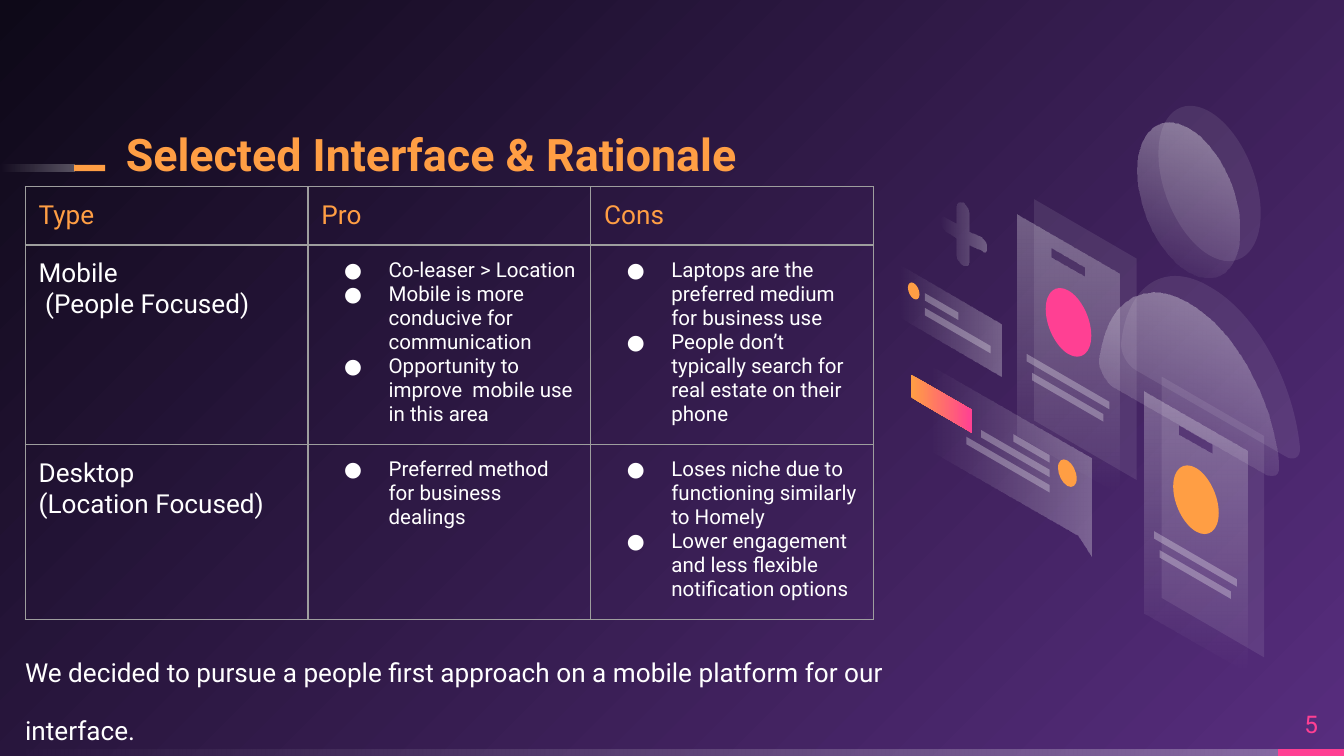
import math
from dataclasses import dataclass

from lxml import etree
from pptx import Presentation
from pptx.dml.color import RGBColor
from pptx.enum.shapes import MSO_SHAPE
from pptx.enum.text import MSO_ANCHOR, MSO_AUTO_SIZE, PP_ALIGN
from pptx.oxml.ns import qn
from pptx.util import Pt

RECTANGLE = MSO_SHAPE.RECTANGLE
TOP, MIDDLE, BOTTOM = MSO_ANCHOR.TOP, MSO_ANCHOR.MIDDLE, MSO_ANCHOR.BOTTOM
NO_AUTOFIT = MSO_AUTO_SIZE.NONE
LEFT, CENTER = PP_ALIGN.LEFT, PP_ALIGN.CENTER
FONT = "Roboto"
SLOPE = 0.58
ROUND = 0.55
BAR_HEIGHT = 4
COLORS = {"white": "FFFFFF", "orange": "FF9E44", "pink": "FF4093",
          "purple": "572D7E", "night": "0E0918", "border": "9E9E9E"}


@dataclass(frozen=True)
class Paint:
    colors: tuple
    opacities: tuple = (100, 100)
    angle: float = 0


@dataclass(frozen=True)
class Slab:
    x: float
    y: float
    width: float
    height: float
    paint: Paint
    slot: tuple = ()


@dataclass(frozen=True)
class Outline:
    start: tuple
    steps: tuple
    paint: Paint


def fade(strength: int, angle: float) -> Paint:
    return Paint(("white", "white"), (strength, 0), angle)


ORANGE, PINK = Paint(("orange",)), Paint(("pink",))
GHOST, BAR = Paint(("white",), (9,)), Paint(("white",), (29,))
SIDE_FADE, DOWN_FADE, BODY_FADE = fade(29, 180), fade(29, 90), fade(40, 110)

DOME = ((612.7, 148.3, 592.6, 161.3, 589, 192.2),
        (588.2, 197.3, 591.8, 204.5, 596.9, 207.4), (676.8, 253.4),
        (681.1, 256.3, 685.4, 254.2, 684.7, 248.4),
        (681.1, 213.1, 661, 176.4, 636.5, 162.7))
PLUS = ((517.7, 110.2, 519.1, 112.3, 519.1, 114.5), (519.1, 123.8), (525.6, 126.7),
        (527, 128.2, 528.5, 130.3, 528.5, 132.5),
        (528.5, 134.6, 527, 135.4, 525.6, 133.9), (519.1, 131), (519.1, 139.7),
        (519.1, 141.8, 517.7, 142.6, 516.2, 141.8),
        (514.1, 140.4, 512.6, 138.2, 512.6, 136.1), (512.6, 127.4), (506.9, 123.8),
        (505.4, 123.1, 504, 120.2, 504, 118.1),
        (504, 115.9, 505.4, 115.2, 506.9, 116.6), (512.6, 119.5), (512.6, 110.9),
        (512.6, 108.7, 514.1, 108, 516.2, 108.7))
BUBBLE = ((497.5, 195.1), (497.5, 240.5), (577.4, 286.6), (584.9, 298.1))


def bar(x: float, y: float, width: float) -> Slab:
    return Slab(x, y, width, BAR_HEIGHT, BAR)


def dome(paint: Paint, right: float = 0, down: float = 0) -> Outline:
    steps = tuple(tuple(value + (down if index % 2 else right)
                        for index, value in enumerate(step)) for step in DOME)
    return Outline(steps[-1][-2:], steps, paint)


def oval(x: float, y: float, radius_x: float, radius_y: float, paint: Paint) -> Outline:
    def spot(across: float, up: float) -> tuple:
        return x + radius_x * across, y + radius_y * up + SLOPE * radius_x * across

    steps = []
    across, up = 1, 0
    for _ in range(4):
        next_across, next_up = -up, across
        steps.append(spot(across + ROUND * next_across, up + ROUND * next_up)
                     + spot(next_across + ROUND * across, next_up + ROUND * up)
                     + spot(next_across, next_up))
        across, up = next_across, next_up
    return Outline(spot(1, 0), tuple(steps), paint)


def card(x: float, y: float, dot: Paint) -> list:
    return [Slab(x + 9, y - 8, 54.9, 118.6, GHOST),
            Slab(x, y, 54.9, 118.6, DOWN_FADE, (18, 18, 18, 5)),
            bar(x + 5, y + 74.9, 44.3), bar(x + 7.9, y + 85, 38.2),
            oval(x + 27.4, y + 58, 12.2, 17, dot)]


ILLUSTRATION = [
    dome(GHOST, 11.7, -9),
    oval(648, 98.3, 27.4, 38.5, GHOST),
    dome(BODY_FADE),
    oval(636.5, 107.1, 27.4, 38.5, BODY_FADE),
    Slab(481.7, 141.9, 54.9, 28.1, SIDE_FADE),
    oval(489.5, 155.9, 3.1, 4.2, ORANGE),
    bar(495.4, 157, 18), bar(495.4, 164.9, 35.3),
    *card(613.3, 209.7, ORANGE),
    *card(545, 114.7, PINK),
    Outline((584.9, 245.5), BUBBLE, SIDE_FADE),
    Slab(488, 200.7, 32.9, 12.2, Paint(("orange", "pink"))),
    bar(542.9, 232.6, 19.4), bar(525.6, 230.4, 36.7), bar(517.7, 234, 44.6),
    oval(571.8, 253.5, 5, 6.8, ORANGE),
    Outline((516.2, 108.7), PLUS, SIDE_FADE),
]
BARS = [((0, 401.3, 686.9, 3.7), SIDE_FADE), ((684.7, 401.3, 35.3, 3.7), PINK),
        ((0, 88.4, 40, 3.3), SIDE_FADE), ((39.8, 88.4, 16.6, 3.3), ORANGE)]
ROW_HEIGHTS = (31.1, 104.2, 91.2)
COLUMN_WIDTH = 151.5
ROWS = [
    (["Type"], ["Pro"], ["Cons"]),
    (["Mobile", " (People Focused)"],
     ["Co-leaser > Location", "Mobile is more conducive for communication",
      "Opportunity to improve  mobile use in this area"],
     ["Laptops are the preferred medium for business use",
      "People don’t typically search for real estate on their phone"]),
    (["Desktop", "(Location Focused)"],
     ["Preferred method for business dealings"],
     ["Loses niche due to functioning similarly to Homely",
      "Lower engagement and less flexible notification options"]),
]


def rgb(name: str) -> RGBColor:
    return RGBColor.from_string(COLORS[name])


def apply_paint(shape, paint: Paint) -> None:
    shape.shadow.inherit = False
    if len(paint.colors) == 1:
        shape.fill.solid()
        shape.fill.fore_color.rgb = rgb(paint.colors[0])
    else:
        shape.fill.gradient()
        shape.fill.gradient_angle = (360 - paint.angle) % 360
        for stop, name in zip(shape.fill.gradient_stops, paint.colors):
            stop.color.rgb = rgb(name)
    for node, opacity in zip(shape.element.spPr.iter(qn("a:srgbClr")), paint.opacities):
        if opacity < 100:
            etree.SubElement(node, qn("a:alpha"), val=str(opacity * 1000))
    shape.line.fill.background()


def slab_points(x: float, y: float, width: float, height: float) -> list:
    drop = SLOPE * width
    return [(x, y), (x + width, y + drop), (x + width, y + drop + height), (x, y + height)]


def sample(outline: Outline, pieces: int = 24) -> list:
    points = [outline.start]
    for step in outline.steps:
        if len(step) == 2:
            points.append(step)
            continue
        corners = [points[-1], step[:2], step[2:4], step[4:]]
        for piece in range(1, pieces + 1):
            t = piece / pieces
            weights = [math.comb(3, i) * t ** i * (1 - t) ** (3 - i) for i in range(4)]
            points.append(tuple(sum(weight * corner[axis] for weight, corner
                                    in zip(weights, corners)) for axis in (0, 1)))
    return points


def set_curves(shape, outline: Outline) -> None:
    route = next(shape.element.iter(qn("a:path")))
    for child in list(route):
        route.remove(child)
    for kind, step in [("moveTo", outline.start),
                       *(("lnTo" if len(step) == 2 else "cubicBezTo", step)
                         for step in outline.steps)]:
        command = etree.SubElement(route, qn(f"a:{kind}"))
        for x, y in zip(step[::2], step[1::2]):
            etree.SubElement(command, qn("a:pt"), x=str(Pt(x) - shape.left),
                             y=str(Pt(y) - shape.top))
    etree.SubElement(route, qn("a:close"))


def draw_piece(page, piece) -> None:
    if isinstance(piece, Slab):
        contours = [slab_points(piece.x, piece.y, piece.width, piece.height)]
        if piece.slot:
            left, top, width, height = piece.slot
            contours.append(slab_points(piece.x + left, piece.y + top, width, height)[::-1])
    else:
        contours = [sample(piece)]
    first, *holes = [[(Pt(x), Pt(y)) for x, y in contour] for contour in contours]
    builder = page.shapes.build_freeform(*first[0])
    builder.add_line_segments(first[1:])
    for hole in holes:
        builder.move_to(*hole[0])
        builder.add_line_segments(hole[1:])
    shape = builder.convert_to_shape()
    if isinstance(piece, Outline):
        set_curves(shape, piece)
    apply_paint(shape, piece.paint)


def place(box, left: float, top: float, width: float, height: float) -> None:
    box.left, box.top, box.width, box.height = map(Pt, (left, top, width, height))


def write(frame, lines: list, *, size: float, color: str, bold: bool = False, inset: float = 0,
          anchor=TOP, align=LEFT, spacing=1.0, bullet: bool = False) -> None:
    frame.word_wrap = True
    frame.vertical_anchor = anchor
    frame.margin_left = frame.margin_right = frame.margin_top = frame.margin_bottom = Pt(inset)
    for index, line in enumerate(lines):
        para = frame.add_paragraph() if index else frame.paragraphs[0]
        para.alignment, para.line_spacing, para.space_before = align, spacing, Pt(0)
        properties = para._p.get_or_add_pPr()
        properties.set("marL", str(Pt(36 if bullet else 0)))
        properties.set("indent", str(Pt(-23.8 if bullet else 0)))
        if bullet:
            tint = etree.SubElement(properties, qn("a:buClr"))
            etree.SubElement(tint, qn("a:srgbClr"), val=COLORS[color])
            etree.SubElement(properties, qn("a:buSzPts"), val=str(size * 100))
            etree.SubElement(properties, qn("a:buFont"), typeface=FONT)
            etree.SubElement(properties, qn("a:buChar"), char="●")
        else:
            etree.SubElement(properties, qn("a:buNone"))
        span = para.add_run()
        span.text = line
        span.font.name, span.font.size, span.font.bold = FONT, Pt(size), bold
        span.font.color.rgb = rgb(color)
        etree.SubElement(para._p, qn("a:endParaRPr"), sz=str(size * 100))


def fill_background(page) -> None:
    fill = page.background.fill
    fill.gradient()
    for stop, name in zip(fill.gradient_stops, ("purple", "night")):
        stop.color.rgb = rgb(name)
    gradient = next(page.element.iter(qn("a:gradFill")))
    gradient.remove(gradient.find(qn("a:lin")))
    circle = etree.SubElement(gradient, qn("a:path"), path="circle")
    etree.SubElement(circle, qn("a:fillToRect"), l="100000", t="100000")


def border_cell(cell) -> None:
    properties = cell._tc.get_or_add_tcPr()
    for side in ("lnL", "lnR", "lnT", "lnB"):
        edge = etree.SubElement(properties, qn(f"a:{side}"), w=str(Pt(0.75)))
        solid = etree.SubElement(edge, qn("a:solidFill"))
        etree.SubElement(solid, qn("a:srgbClr"), val=COLORS["border"])
    cell.fill.background()


def draw_table(page) -> None:
    table = page.shapes.add_table(3, 3, Pt(13.5), Pt(100), Pt(3 * COLUMN_WIDTH),
                                  Pt(sum(ROW_HEIGHTS))).table
    table.first_row = table.horz_banding = False
    for column in table.columns:
        column.width = Pt(COLUMN_WIDTH)
    for row_index, (row, height) in enumerate(zip(ROWS, ROW_HEIGHTS)):
        table.rows[row_index].height = Pt(height)
        for column_index, lines in enumerate(row):
            cell = table.cell(row_index, column_index)
            border_cell(cell)
            bullet = row_index > 0 and column_index > 0
            write(cell.text_frame, lines, size=11 if bullet else 14, bullet=bullet,
                  color="white" if row_index else "orange")
            cell.margin_left = cell.margin_right = Pt(7.2)
            cell.margin_top = cell.margin_bottom = Pt(7.2)


def main() -> None:
    deck = Presentation()
    deck.slide_width, deck.slide_height = Pt(720), Pt(405)
    page = deck.slides.add_slide(deck.slide_layouts[1])
    fill_background(page)
    for bounds, paint in BARS:
        apply_paint(page.shapes.add_shape(RECTANGLE, *map(Pt, bounds)), paint)
    title, body = page.placeholders
    place(title, 67.4, 65.8, 417.6, 31)
    write(title.text_frame, ["Selected Interface & Rationale"], size=24, color="orange",
          bold=True, anchor=BOTTOM, spacing=0.9)
    place(body, 13.4, 337.3, 465.1, 62)
    write(body.text_frame, ["We decided to pursue a people first approach on a mobile "
                            "platform for our interface."],
          size=14, color="white", spacing=Pt(31))
    for box in (title, body):
        box.text_frame.auto_size = NO_AUTOFIT
    number = page.shapes.add_textbox(Pt(684.7), Pt(374), Pt(35.3), Pt(27.4))
    write(number.text_frame, ["5"], size=13, color="pink", anchor=MIDDLE, align=CENTER)
    for piece in ILLUSTRATION:
        draw_piece(page, piece)
    draw_table(page)
    deck.save("out.pptx")


if __name__ == "__main__":
    main()
